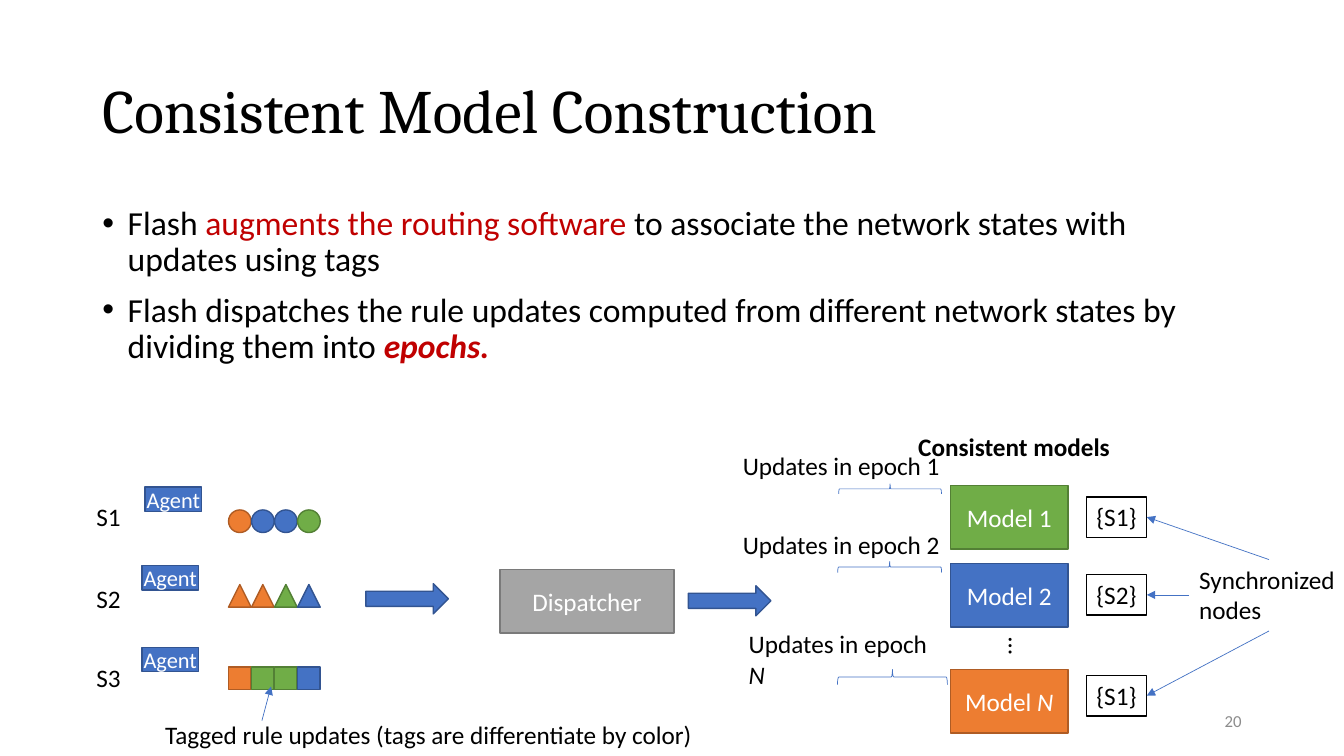
from lxml import etree
from pptx import Presentation
from pptx.dml.color import RGBColor
from pptx.enum.shapes import MSO_CONNECTOR, MSO_SHAPE
from pptx.enum.text import MSO_ANCHOR, PP_ALIGN
from pptx.oxml.ns import qn
from pptx.util import Cm, Pt

RECT, OVAL = MSO_SHAPE.RECTANGLE, MSO_SHAPE.OVAL
TRIANGLE, ARROW = MSO_SHAPE.ISOSCELES_TRIANGLE, MSO_SHAPE.RIGHT_ARROW
BRACE, STRAIGHT = MSO_SHAPE.LEFT_BRACE, MSO_CONNECTOR.STRAIGHT
TOP, MIDDLE = MSO_ANCHOR.TOP, MSO_ANCHOR.MIDDLE
LEFT, CENTER, RIGHT = PP_ALIGN.LEFT, PP_ALIGN.CENTER, PP_ALIGN.RIGHT

BLACK, WHITE, RED, GRAY = "000000", "FFFFFF", "C00000", "A5A5A5"
BLUE, GREEN, ORANGE = "4472C4", "70AD47", "ED7D31"
EDGE = {BLUE: "325491", GREEN: "538035", ORANGE: "AF5C24", GRAY: "7A7A7A", WHITE: BLACK}
ITALIC = {"italic": True}


def rgb(color):
    return RGBColor.from_string(color)


def write(tf, paragraphs, size=18, font="Calibri", color=BLACK, align=LEFT, anchor=TOP,
          wrap=True, bold=False, spacing=None, before=0, bullet=None, inset=None):
    """Each paragraph is a string or a list of (text, changes) runs."""
    tf.word_wrap, tf.vertical_anchor = wrap, anchor
    if inset is not None:
        tf.margin_left = tf.margin_right = Cm(inset)
    for i, runs in enumerate(paragraphs):
        p = tf.add_paragraph() if i else tf.paragraphs[0]
        p.alignment = align
        if spacing:
            p.line_spacing = spacing
        if i and before:
            p.space_before = Pt(before)
        if bullet:
            pPr = p._p.get_or_add_pPr()
            pPr.set("marL", str(Cm(0.64)))
            pPr.set("indent", str(Cm(-0.64)))
            etree.SubElement(pPr, qn("a:buFont")).set("typeface", "Arial")
            etree.SubElement(pPr, qn("a:buChar")).set("char", bullet)
        for text, changes in [(runs, {})] if isinstance(runs, str) else runs:
            r = p.add_run()
            r.text = text
            r.font.name, r.font.size = font, Pt(size)
            r.font.bold = changes.get("bold", bold)
            r.font.italic = changes.get("italic", False)
            r.font.color.rgb = rgb(changes.get("color", color))


def add_text(s, x, y, w, h, paragraphs, **fmt):
    sp = s.shapes.add_textbox(Cm(x), Cm(y), Cm(w), Cm(h))
    write(sp.text_frame, paragraphs, **fmt)
    return sp


def add_shape(s, kind, x, y, w, h, fill, paragraphs=None, **fmt):
    sp = s.shapes.add_shape(kind, Cm(x), Cm(y), Cm(w), Cm(h))
    sp.shadow.inherit = False
    sp.fill.solid()
    sp.fill.fore_color.rgb = rgb(fill)
    sp.line.color.rgb = rgb(EDGE[fill])
    sp.line.width = Pt(1)
    if paragraphs:
        write(sp.text_frame, paragraphs, **fmt)


def add_brace(s, cx, cy, length, depth):
    sp = s.shapes.add_shape(BRACE, Cm(cx - depth / 2), Cm(cy - length / 2),
                            Cm(depth), Cm(length))
    sp.rotation = 90
    sp.shadow.inherit = False
    sp.fill.background()
    sp.line.color.rgb = rgb(BLUE)
    sp.line.width = Pt(0.5)


def add_pointer(s, x1, y1, x2, y2):
    line = s.shapes.add_connector(STRAIGHT, Cm(x1), Cm(y1), Cm(x2), Cm(y2))
    line.line.color.rgb = rgb(BLUE)
    line.line.width = Pt(0.5)
    etree.SubElement(line.line._get_or_add_ln(), qn("a:tailEnd")).set("type", "triangle")
    etree.SubElement(line._element.spPr, qn("a:effectLst"))


def heading(s, x, y, w):
    add_text(s, x, y, w, 3.68, ["Consistent Model Construction"],
             size=44, font="Cambria", anchor=MIDDLE, spacing=0.9)
    add_text(s, x, y + 4.07, w, 12.09, [
        [("Flash ", {}), ("augments the routing software ", {"color": RED}),
         ("to associate the network states with updates using tags", {})],
        [("Flash dispatches the rule updates computed from different network states "
          "by dividing them into ", {}),
         ("epochs.", {"color": RED, "bold": True, "italic": True})],
    ], size=24, spacing=0.9, before=10, bullet="•")


def switches(s, x, y):
    # Label top, agent left and top, update top, update shape and tag colours
    rows = [
        ("S1", 0.25, 1.48, 0, 0.58, OVAL, (ORANGE, BLUE, BLUE, GREEN)),
        ("S2", 2.31, 1.4, 1.98, 2.46, TRIANGLE, (ORANGE, ORANGE, GREEN, BLUE)),
        ("S3", 4.29, 1.4, 4.04, 4.54, RECT, (ORANGE, GREEN, GREEN, BLUE)),
    ]
    for name, label_y, agent_x, agent_y, update_y, kind, tags in rows:
        add_text(s, x, y + label_y, 1.14, 1.02, [name], wrap=False)
        add_shape(s, RECT, x + agent_x, y + agent_y, 1.42, 0.62, BLUE, ["Agent"],
                  size=16, color=WHITE, align=CENTER, anchor=MIDDLE, inset=0)
        for i, tag in enumerate(tags):
            add_shape(s, kind, x + 3.58 + 0.58 * i, y + update_y, 0.57, 0.57, tag)
    # Note on the tags
    add_text(s, x + 1.73, y + 5.74, 13.87, 1.02,
             ["Tagged rule updates (tags are differentiate by color)"])
    add_pointer(s, x + 4.42, y + 5.89, x + 4.65, y + 5.03)


def dispatcher(s, x, y):
    add_shape(s, ARROW, x, y + 0.36, 2.08, 0.76, BLUE)
    add_shape(s, RECT, x + 3.38, y, 4.39, 1.6, GRAY, ["Dispatcher"],
              color=WHITE, align=CENTER, anchor=MIDDLE)
    add_shape(s, ARROW, x + 8.13, y + 0.41, 2.08, 0.76, BLUE)


def models(s, x, y):
    add_text(s, x + 4.42, y, 5.38, 1.02, ["Consistent models"], bold=True, wrap=False)
    add_text(s, x + 6.85, y + 4.91, 0.71, 1.02, ["…"]).rotation = 90
    add_text(s, x + 11.5, y + 3.36, 3.96, 1.8, ["Synchronized", "nodes"], wrap=False)
    # Number, colour, model top, label offset, brace (centre, length, depth),
    # node set and its top, start of the pointer
    rows = [
        (("1", {}), GREEN, 1.5, (0, 0.49), (3.96, 1.58, 2.59, 0.25),
         "{S1}", 1.78, (13.51, 3.36)),
        (("2", {}), BLUE, 3.46, (0, 2.47), (3.95, 3.55, 2.62, 0.28),
         "{S2}", 3.74, (11.5, 4.25)),
        (("N", ITALIC), ORANGE, 6.13, (0.15, 4.98), (4.02, 6.32, 2.77, 0.38),
         "{S1}", 6.28, (13.51, 5.16)),
    ]
    for number, fill, top, (dx, dy), (cx, cy, length, depth), nodes, set_y, start in rows:
        add_text(s, x + dx, y + dy, 5.54, 1.02, [[("Updates in epoch ", {}), number]],
                 wrap=False)
        add_brace(s, x + cx, y + cy, length, depth)
        add_shape(s, RECT, x + 5.48, y + top, 2.97, 1.6, fill, [[("Model ", {}), number]],
                  color=WHITE, align=CENTER, anchor=MIDDLE)
        add_shape(s, RECT, x + 8.91, y + set_y, 1.52, 1.02, WHITE, [nodes], wrap=False)
        add_pointer(s, x + start[0], y + start[1], x + 10.43, y + set_y + 0.51)


def main():
    prs = Presentation()
    prs.slide_width, prs.slide_height = Cm(33.87), Cm(19.05)
    s = prs.slides.add_slide(prs.slide_layouts[6])
    heading(s, 2.33, 1.01, 29.21)
    switches(s, 2.18, 12.27)
    dispatcher(s, 9.22, 14.35)
    models(s, 18.47, 10.74)
    # Slide number
    add_text(s, 23.92, 17.65, 7.62, 1.02, ["20"], size=12, color="8C8C8C",
             align=RIGHT, anchor=MIDDLE)
    prs.save("out.pptx")


if __name__ == "__main__":
    main()
